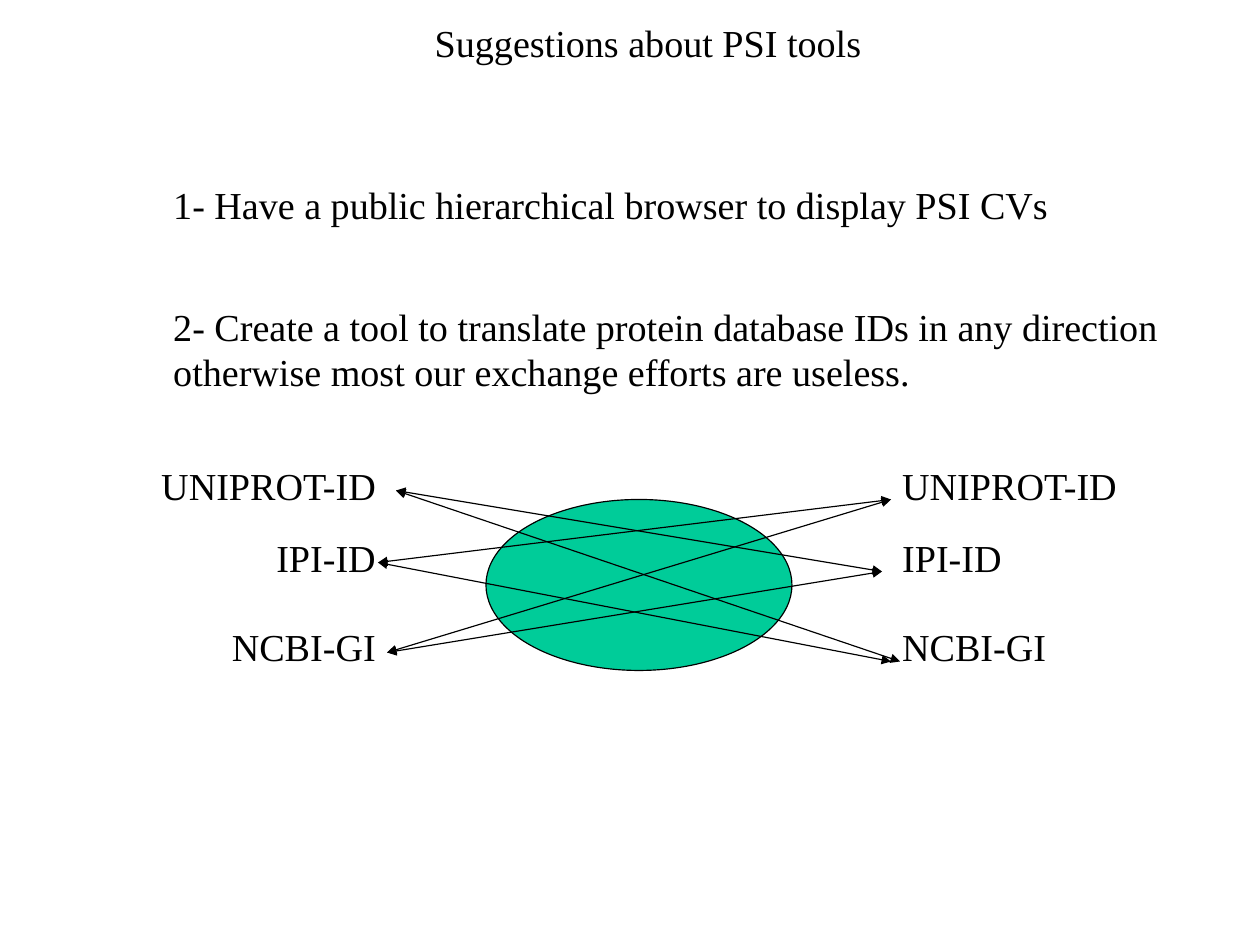
import itertools
from dataclasses import dataclass

import pptx
import pptx.dml.color
import pptx.enum.shapes
import pptx.enum.text
import pptx.oxml.ns
import pptx.slide
import pptx.util
from lxml import etree

BLACK = pptx.dml.color.RGBColor(0x00, 0x00, 0x00)
GREEN = pptx.dml.color.RGBColor(0x00, 0xCC, 0x99)
FONT = "Times New Roman"
LINE_WIDTH = pptx.util.Pt(0.75)

SLIDE_WIDTH = pptx.util.Cm(28)
SLIDE_HEIGHT = pptx.util.Cm(21)
COLUMNS, ROWS = 140, 105
TEXT_ROWS = 6.35
LEFT_LABEL_END, RIGHT_LABEL_START = 43, 99

LEFT = pptx.enum.text.PP_ALIGN.LEFT
CENTER = pptx.enum.text.PP_ALIGN.CENTER
RIGHT = pptx.enum.text.PP_ALIGN.RIGHT


@dataclass(frozen=True)
class TextBlock:
    text: str
    col: float
    row: float
    cols: float
    rows: float = TEXT_ROWS
    align: pptx.enum.text.PP_ALIGN = LEFT


@dataclass(frozen=True)
class Database:
    name: str
    row: float
    left_cols: float
    right_cols: float
    arrow_col: float
    arrow_row: float


@dataclass(frozen=True)
class Arrow:
    source: Database
    target: Database
    end_col: float


TEXTS = [
    TextBlock("Suggestions about PSI tools", 35, 1.5, 74, align=CENTER),
    TextBlock("1- Have a public hierarchical browser to display PSI CVs", 18, 19.5, 116),
    TextBlock(
        "2- Create a tool to translate protein database IDs in any direction "
        "otherwise most our exchange efforts are useless.",
        18, 33.05, 113, 11.4,
    ),
]

UNIPROT = Database("UNIPROT-ID", 50.8, 31, 28, 44, 54.5)
IPI = Database("IPI-ID", 58.8, 23, 14, 42, 62.5)
NCBI = Database("NCBI-GI", 68.65, 27, 19, 43, 72.5)
DATABASES = [UNIPROT, IPI, NCBI]
END_COLS = [98, 100, 99, 99, 99, 98]
ARROWS = [
    Arrow(source, target, end_col)
    for (source, target), end_col in zip(itertools.permutations(DATABASES, 2), END_COLS)
]


def x(cols: float) -> int:
    return round(SLIDE_WIDTH * cols / COLUMNS)


def y(rows: float) -> int:
    return round(SLIDE_HEIGHT * rows / ROWS)


def add_text(slide: pptx.slide.Slide, block: TextBlock) -> None:
    sp = slide.shapes.add_textbox(x(block.col), y(block.row), x(block.cols), y(block.rows))
    tf = sp.text_frame
    tf.word_wrap = True
    tf.auto_size = pptx.enum.text.MSO_AUTO_SIZE.SHAPE_TO_FIT_TEXT
    p = tf.paragraphs[0]
    p.text = block.text
    p.alignment = block.align
    p.space_before = pptx.util.Pt(15)
    p.font.name = FONT
    p.font.size = pptx.util.Pt(24)
    p.font.color.rgb = BLACK


def add_translator(slide: pptx.slide.Slide) -> None:
    sp = slide.shapes.add_shape(
        pptx.enum.shapes.MSO_SHAPE.OVAL, x(54), y(55.5), x(34), y(19)
    )
    sp.shadow.inherit = False
    sp.fill.solid()
    sp.fill.fore_color.rgb = GREEN
    sp.line.color.rgb = BLACK
    sp.line.width = LINE_WIDTH


def add_labels(slide: pptx.slide.Slide, db: Database) -> None:
    left_start = LEFT_LABEL_END - db.left_cols
    add_text(slide, TextBlock(db.name, left_start, db.row, db.left_cols, align=RIGHT))
    add_text(slide, TextBlock(db.name, RIGHT_LABEL_START, db.row, db.right_cols))


def add_arrow(slide: pptx.slide.Slide, arrow: Arrow) -> None:
    line = slide.shapes.add_connector(
        pptx.enum.shapes.MSO_CONNECTOR.STRAIGHT,
        x(arrow.source.arrow_col),
        y(arrow.source.arrow_row),
        x(arrow.end_col),
        y(arrow.target.arrow_row + 1),
    )
    line.line.color.rgb = BLACK
    line.line.width = LINE_WIDTH
    properties = line._element.spPr
    ln = properties.find(pptx.oxml.ns.qn("a:ln"))
    for end in ("a:headEnd", "a:tailEnd"):
        etree.SubElement(ln, pptx.oxml.ns.qn(end), type="triangle")
    etree.SubElement(properties, pptx.oxml.ns.qn("a:effectLst"))


def main() -> None:
    prs = pptx.Presentation()
    prs.slide_width = SLIDE_WIDTH
    prs.slide_height = SLIDE_HEIGHT
    slide = prs.slides.add_slide(prs.slide_layouts[6])
    for block in TEXTS:
        add_text(slide, block)
    add_translator(slide)
    for db in DATABASES:
        add_labels(slide, db)
    for arrow in ARROWS:
        add_arrow(slide, arrow)
    prs.save("out.pptx")


if __name__ == "__main__":
    main()
